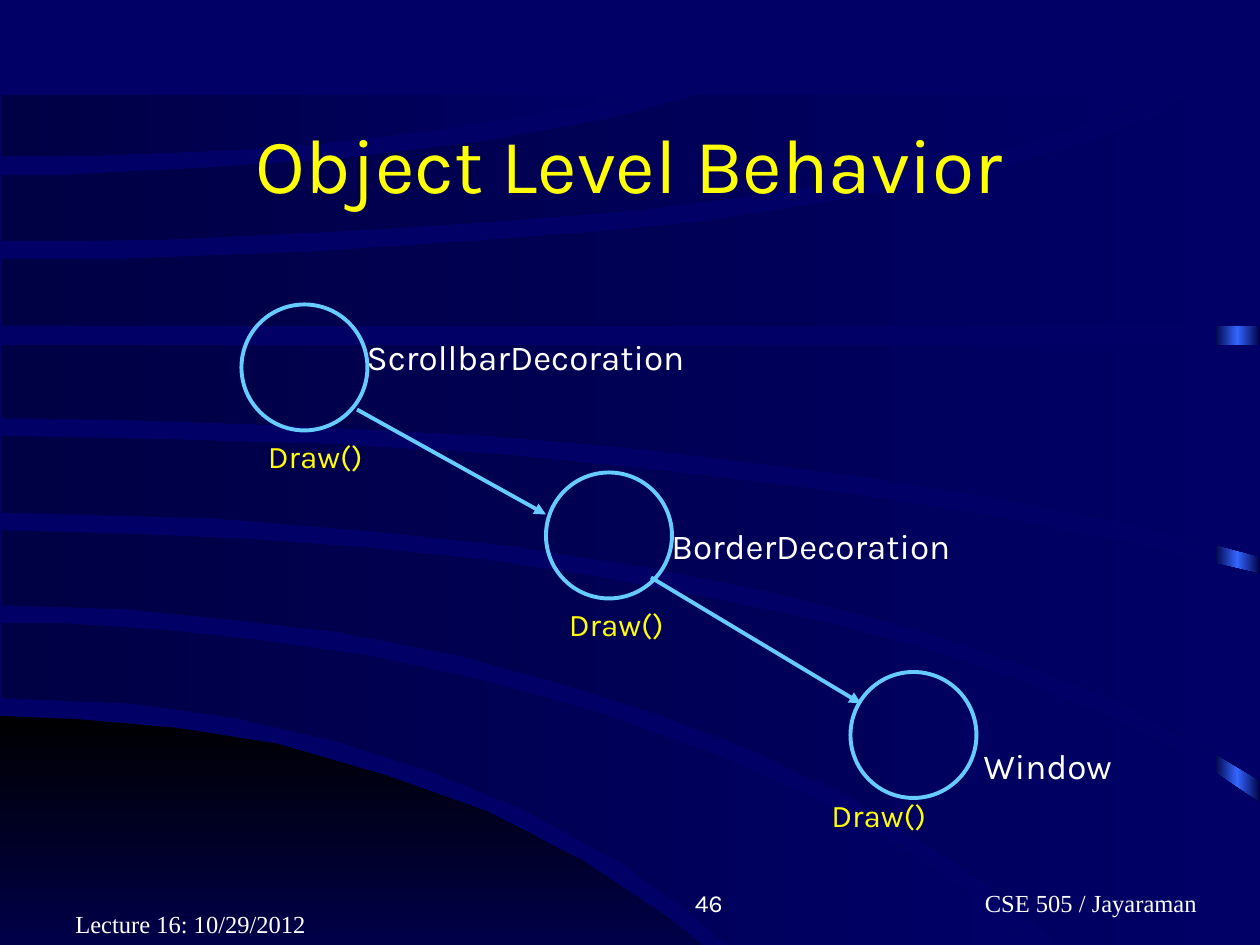
from pptx import Presentation
from pptx.dml.color import RGBColor
from pptx.enum.shapes import MSO_CONNECTOR, MSO_SHAPE
from pptx.enum.text import MSO_ANCHOR, PP_ALIGN
from pptx.oxml import parse_xml
from pptx.oxml.ns import nsdecls
from pptx.util import Pt

LEFT, CENTER, RIGHT = PP_ALIGN.LEFT, PP_ALIGN.CENTER, PP_ALIGN.RIGHT
TOP, MIDDLE, BOTTOM = MSO_ANCHOR.TOP, MSO_ANCHOR.MIDDLE, MSO_ANCHOR.BOTTOM


class Theme:
    navy, dark, black, glow = "000066", "000044", "000000", "3366FF"
    corner_end = "000048"
    line, yellow, white = "66CCFF", "FFFF00", "FFFFFF"
    sans, serif = "Karla", "Times New Roman"
    title, label, call, footer = 44, 20, 18, 14


def paint_gradient(sp, colors, angle=0):
    """Fill a shape with evenly spaced gradient stops and no outline."""
    sp.shadow.inherit = False
    sp.line.fill.background()
    stops = "".join(
        f'<a:gs pos="{100000 * i // (len(colors) - 1)}"><a:srgbClr val="{c}"/></a:gs>'
        for i, c in enumerate(colors))
    sp._element.spPr.insert(2, parse_xml(
        f'<a:gradFill {nsdecls("a")} rotWithShape="1"><a:gsLst>{stops}</a:gsLst>'
        f'<a:lin ang="{angle * 60000}" scaled="0"/></a:gradFill>'))


def write(sp, text, size, color, font=Theme.sans, align=LEFT, anchor=TOP, wrap=True):
    tf = sp.text_frame
    tf.word_wrap = wrap
    tf.vertical_anchor = anchor
    p = tf.paragraphs[0]
    p.text = text
    p.alignment = align
    p.font.size = Pt(size)
    p.font.name = font
    p.font.color.rgb = RGBColor.from_string(color)
    return tf


prs = Presentation()
prs.slide_width, prs.slide_height = Pt(720), Pt(540)
s = prs.slides.add_slide(prs.slide_layouts[5])
s.background.fill.solid()
s.background.fill.fore_color.rgb = RGBColor.from_string(Theme.navy)

# Glowing strip on the right, seen between the bands
strip = s.shapes.add_shape(MSO_SHAPE.RECTANGLE, Pt(694), Pt(55), Pt(26), Pt(485))
paint_gradient(strip, [Theme.dark, Theme.glow, Theme.dark])

# Dark corner and curved bands, from the bottom up
corner = [(0, 540), (0, 409), (45, 411), (101, 416), (158, 425), (220, 443),
          (279, 464), (333, 492), (381, 524), (401, 540)]
bands = [
    [(1, 356), (32, 356), (94, 360), (149, 366), (212, 375), (276, 389), (341, 407),
     (405, 430), (464, 456), (524, 490), (578, 529), (590, 540),
     (415, 540), (399, 525), (355, 493), (300, 463), (247, 441), (194, 424),
     (134, 410), (76, 402), (1, 399)],
    [(1, 303), (71, 305), (141, 308), (209, 313), (277, 320), (343, 330), (411, 343),
     (473, 356), (532, 372), (590, 392), (652, 418), (698, 444), (720, 459),
     (720, 540), (606, 540), (584, 521), (545, 492), (489, 457), (431, 429),
     (376, 408), (319, 390), (260, 374), (193, 361), (132, 354), (71, 348), (1, 346)],
    [(1, 249), (90, 251), (192, 254), (289, 260), (377, 269), (477, 281), (554, 293),
     (652, 312), (720, 328), (720, 446), (685, 425), (635, 399), (589, 381),
     (536, 363), (492, 351), (440, 338), (370, 324), (293, 312), (219, 304),
     (121, 296), (1, 293)],
    [(1, 197), (720, 197), (720, 318), (660, 302), (586, 287), (506, 274), (438, 265),
     (362, 256), (281, 249), (165, 243), (75, 240), (1, 239)],
    [(1, 148), (1, 186), (720, 186), (720, 54), (680, 54), (663, 65), (622, 82),
     (579, 94), (529, 106), (464, 117), (400, 127), (336, 133), (269, 138),
     (176, 144), (68, 148)],
    [(1, 100), (1, 138), (91, 137), (195, 132), (275, 127), (364, 120), (443, 110),
     (516, 98), (578, 84), (636, 66), (661, 54), (401, 54), (348, 68), (276, 81),
     (193, 91), (116, 96), (35, 100)],
    [(1, 54), (1, 89), (49, 89), (125, 86), (183, 82), (250, 74), (326, 61), (361, 54)],
]
band_colors = [Theme.dark, Theme.navy]
areas = [(corner, [Theme.black, Theme.corner_end], 90)]
areas += [(band, band_colors, 0) for band in bands]
for points, colors, angle in areas:
    fb = s.shapes.build_freeform(*points[0], scale=Pt(1))
    fb.add_line_segments(points[1:], close=True)
    paint_gradient(fb.convert_to_shape(), colors, angle)

# Title, brought in front of the bands
title = s.shapes.title
s.shapes._spTree.append(title._element)
title.left, title.top, title.width, title.height = Pt(54), Pt(48), Pt(612), Pt(90)
write(title, "Object Level Behavior", Theme.title, Theme.yellow, align=CENTER, anchor=MIDDLE)

# Object circles
for x, y in [(138, 174), (312, 270), (486, 384)]:
    circle = s.shapes.add_shape(MSO_SHAPE.OVAL, Pt(x), Pt(y), Pt(72), Pt(72))
    circle.shadow.inherit = False
    circle.fill.background()
    circle.line.color.rgb = RGBColor.from_string(Theme.line)
    circle.line.width = Pt(2.25)

# Arrows between the objects
for x1, y1, x2, y2 in [(204, 234, 312, 294), (372, 330, 492, 402)]:
    arrow = s.shapes.add_connector(MSO_CONNECTOR.STRAIGHT, Pt(x1), Pt(y1), Pt(x2), Pt(y2))
    arrow.line.color.rgb = RGBColor.from_string(Theme.line)
    arrow.line.width = Pt(2.25)
    arrow.line._get_or_add_ln().append(
        parse_xml(f'<a:tailEnd {nsdecls("a")} type="triangle"/>'))
    arrow._element.spPr.append(parse_xml(f'<a:effectLst {nsdecls("a")}/>'))

# Class names and method calls
names = [("ScrollbarDecoration", 202.5, 188, 201.5), ("BorderDecoration", 376.5, 296, 183.5),
         ("Window", 555, 422, 91)]
for text, x, y, w in names:
    tb = s.shapes.add_textbox(Pt(x), Pt(y), Pt(w), Pt(31.5))
    write(tb, text, Theme.label, Theme.white, wrap=False)
for x, y in [(146, 246), (318, 342), (468, 451.5)]:
    tb = s.shapes.add_textbox(Pt(x), Pt(y), Pt(70), Pt(29))
    write(tb, "Draw()", Theme.call, Theme.yellow, wrap=False)

# Footer: lecture, page number, course
footers = [("Lecture 16: 10/29/2012", 36, 504, 150, Theme.serif, LEFT, 7.2),
           ("46", 270, 492, 150, Theme.sans, RIGHT, 7.2),
           ("CSE 505 / Jayaraman", 474, 492, 228, Theme.serif, RIGHT, 18)]
for text, x, y, w, font, align, margin in footers:
    tb = s.shapes.add_textbox(Pt(x), Pt(y), Pt(w), Pt(36))
    tf = write(tb, text, Theme.footer, Theme.white, font, align, BOTTOM)
    tf.margin_right = Pt(margin)

prs.save("out.pptx")
